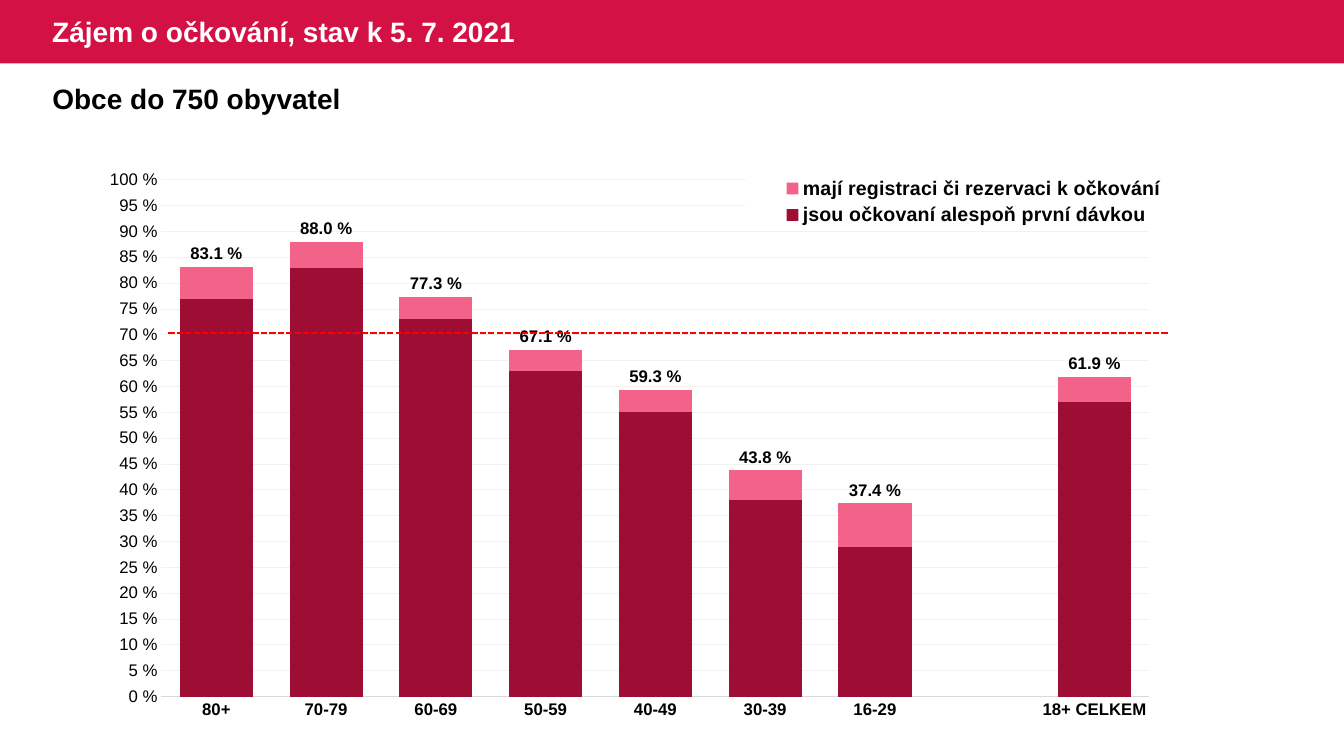
from dataclasses import dataclass

from lxml.etree import SubElement
from pptx import Presentation
from pptx.chart.data import CategoryChartData
from pptx.dml.color import RGBColor
from pptx.enum.chart import XL_CHART_TYPE as ChartType
from pptx.enum.chart import XL_LABEL_POSITION as LabelPosition
from pptx.enum.chart import XL_LEGEND_POSITION as LegendPosition
from pptx.enum.chart import XL_TICK_MARK as TickMark
from pptx.enum.dml import MSO_LINE
from pptx.enum.shapes import MSO_CONNECTOR as Connector
from pptx.enum.shapes import MSO_SHAPE as Shape
from pptx.enum.text import MSO_ANCHOR as Anchor
from pptx.oxml import parse_xml
from pptx.oxml.ns import nsdecls, qn
from pptx.util import Inches, Pt


@dataclass(frozen=True)
class Theme:
    """Colours, font and type sizes of the slide."""
    font: str = "Arial"
    band: str = "D31145"
    white: str = "FFFFFF"
    black: str = "000000"
    registered: str = "F26289"
    vaccinated: str = "9E0D34"
    axis: str = "D9D9D9"
    grid: str = "F2F2F2"
    target: str = "FF0000"
    heading_size: int = 20
    legend_size: int = 14
    label_size: int = 12


THEME = Theme()
AGES = ["80+", "70-79", "60-69", "50-59", "40-49", "30-39", "16-29", "", "18+ CELKEM"]
SERIES = [
    ("mají registraci či rezervaci k očkování", THEME.registered,
     [83.1, 88.0, 77.3, 67.1, 59.3, 43.8, 37.4, None, 61.9]),
    ("jsou očkovaní alespoň první dávkou", THEME.vaccinated,
     [77, 83, 73, 63, 55, 38, 29, None, 57]),
]


def color(value):
    """Turn a hex string into a colour."""
    return RGBColor.from_string(value)


def style_font(font, size, bold=False, tint=THEME.black):
    """Set the face, size, weight and colour of a font."""
    font.name = THEME.font
    font.size = Pt(size)
    font.bold = bold
    font.color.rgb = color(tint)


def style_line(line, tint, width):
    """Set the colour and width of a line."""
    line.color.rgb = color(tint)
    line.width = Pt(width)


def add_heading(page, box, text, tint, anchor):
    """Place one bold heading in the box."""
    frame = page.shapes.add_textbox(*map(Inches, box)).text_frame
    frame.word_wrap = True
    frame.vertical_anchor = anchor
    para = frame.paragraphs[0]
    para.text = text
    style_font(para.font, THEME.heading_size, True, tint)


def add_title_band(page, box, text):
    """Place the coloured band with the slide title."""
    left, top, width, height = box
    band = page.shapes.add_shape(Shape.RECTANGLE, *map(Inches, box))
    band.shadow.inherit = False
    band.fill.solid()
    band.fill.fore_color.rgb = color(THEME.band)
    band.line.fill.background()
    add_heading(page, (left + 0.42, top, 5.9, height), text, THEME.white, Anchor.MIDDLE)


def manual_layout(x, y, width, height, inner=False):
    """Build a chart layout element from fractions of the chart area."""
    layout = parse_xml(f"<c:layout {nsdecls('c')}><c:manualLayout/></c:layout>")
    settings = [("layoutTarget", "inner")] if inner else []
    settings += [("xMode", "edge"), ("yMode", "edge"),
                 ("x", x), ("y", y), ("w", width), ("h", height)]
    for name, value in settings:
        SubElement(layout[0], qn(f"c:{name}")).set("val", str(value))
    return layout


def style_axes(chart):
    """Format the age axis and the percent axis."""
    ages, percent = chart.category_axis, chart.value_axis
    for axis in (ages, percent):
        axis.major_tick_mark = axis.minor_tick_mark = TickMark.NONE
        style_font(axis.tick_labels.font, THEME.label_size, axis is ages)
    style_line(ages.format.line, THEME.axis, 0.75)
    percent.format.line.fill.background()
    percent.minimum_scale, percent.maximum_scale, percent.major_unit = 0, 100, 5
    percent.tick_labels.number_format = '0" %"'
    percent.tick_labels.number_format_is_linked = False
    style_line(percent.major_gridlines.format.line, THEME.grid, 0.5)


def style_legend(chart):
    """Put a white legend over the upper right of the plot."""
    chart.has_legend = True
    legend = chart.legend
    legend.position = LegendPosition.TOP
    legend.include_in_layout = False
    style_font(legend.font, THEME.legend_size, True)
    element = legend._element
    element.find(qn("c:legendPos")).addnext(manual_layout(0.57, 0.02, 0.41, 0.1))
    element.find(qn("c:txPr")).addprevious(parse_xml(
        f"<c:spPr {nsdecls('c', 'a')}><a:solidFill>"
        f'<a:srgbClr val="{THEME.white}"/></a:solidFill></c:spPr>'))


def add_interest_chart(page, box):
    """Place the chart of vaccination interest by age."""
    data = CategoryChartData()
    data.categories = AGES
    for name, _, values in SERIES:
        data.add_series(name, values)
    chart = page.shapes.add_chart(ChartType.COLUMN_CLUSTERED, *map(Inches, box), data).chart
    chart.has_title = False
    style_font(chart.font, 10)
    plot = chart.plots[0]
    plot.gap_width, plot.overlap = 50, 100
    plot.vary_by_categories = False
    for series, (_, tint, _) in zip(plot.series, SERIES):
        series.format.fill.solid()
        series.format.fill.fore_color.rgb = color(tint)
        series.invert_if_negative = False
    labels = plot.series[0].data_labels
    labels.show_value = True
    labels.number_format = '0.0" %"'
    labels.number_format_is_linked = False
    labels.position = LabelPosition.OUTSIDE_END
    style_font(labels.font, THEME.label_size, True)
    style_axes(chart)
    style_legend(chart)
    area = chart._chartSpace.chart.plotArea
    for layout in area.findall(qn("c:layout")):
        area.remove(layout)
    area.insert(0, manual_layout(0.045, 0.032, 0.888, 0.895, inner=True))


def add_target_line(page, left, right, top):
    """Draw the dashed line near seventy percent."""
    target = page.shapes.add_connector(
        Connector.STRAIGHT, Inches(left), Inches(top), Inches(right), Inches(top))
    style_line(target.line, THEME.target, 1.5)
    target.line.dash_style = MSO_LINE.SQUARE_DOT
    SubElement(target._element.spPr, qn("a:effectLst"))


def add_interest_slide(deck):
    """Build the slide on interest in vaccination."""
    page = deck.slides.add_slide(deck.slide_layouts[6])
    add_title_band(page, (0, 0, 13.33, 0.63), "Zájem o očkování, stav k 5. 7. 2021")
    add_heading(page, (0.42, 0.76, 12.39, 0.44), "Obce do 750 obyvatel",
                THEME.black, Anchor.TOP)
    add_interest_chart(page, (1.09, 1.6, 11.05, 5.73))
    add_target_line(page, 1.67, 11.59, 3.3)


def main():
    """Create and save the deck."""
    deck = Presentation()
    deck.slide_width, deck.slide_height = Inches(13.33), Inches(7.5)
    add_interest_slide(deck)
    deck.save("out.pptx")


if __name__ == "__main__":
    main()
